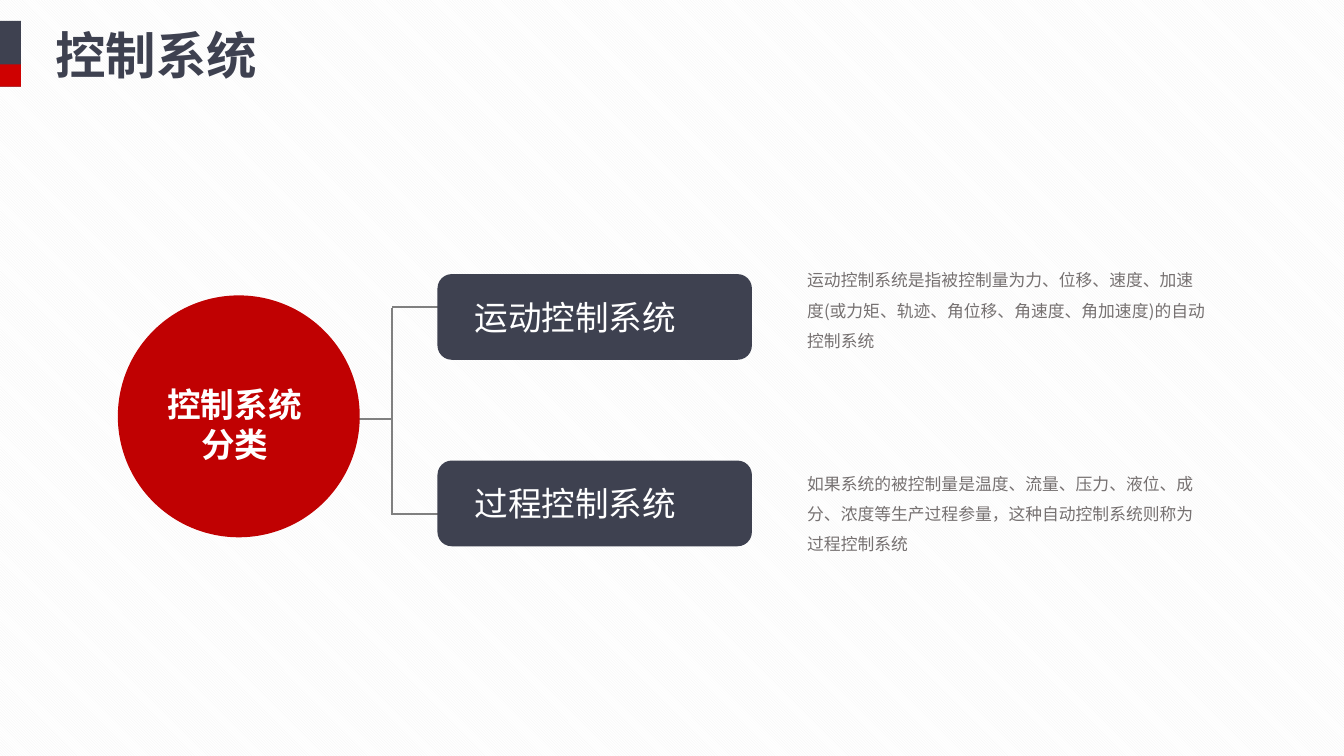
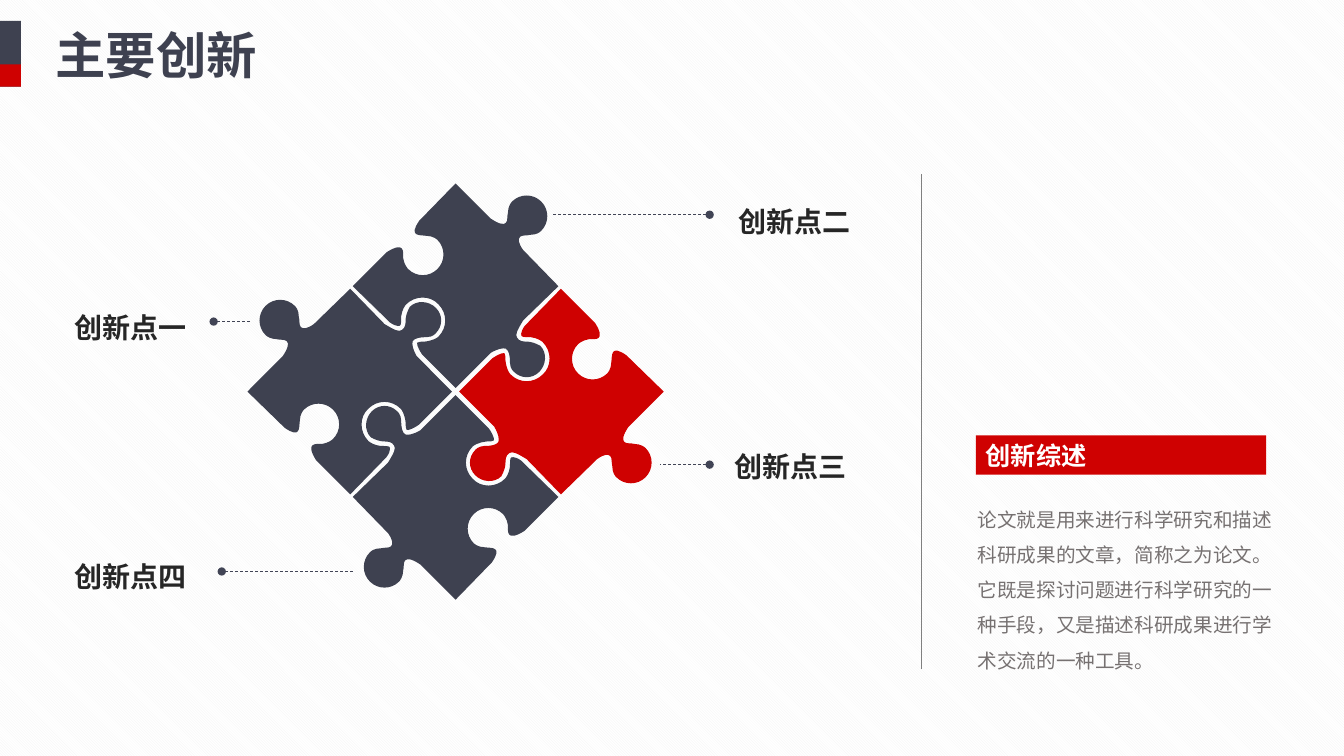
from dataclasses import dataclass

from lxml.etree import SubElement
from pptx import Presentation
from pptx.dml.color import RGBColor
from pptx.enum.dml import MSO_LINE, MSO_PATTERN
from pptx.enum.shapes import MSO_CONNECTOR, MSO_SHAPE as Preset
from pptx.enum.text import MSO_ANCHOR as Anchor, MSO_AUTO_SIZE, PP_ALIGN as Align
from pptx.oxml.ns import qn
from pptx.util import Pt


@dataclass(frozen=True)
class Theme:
    font: str = "Noto Sans CJK SC"
    navy: str = "3E4150"
    red: str = "CF0101"
    deep_red: str = "C00102"
    rule: str = "808080"
    leader: str = "414455"
    ink: str = "262626"
    prose: str = "767171"
    white: str = "FFFFFF"
    hatch: str = "F2F2F2"
    title: int = 36
    node: int = 24
    label: int = 20
    heading: int = 18
    summary: int = 14
    detail: int = 12


THEME = Theme()

HUB = (325.44, 279.72)
PIECE_UNIT = 0.72
PIECE_GAP = 3.5
PIECE_START = (85, -185)
PIECE_OUTLINE = [
    (93, -177, 93, -164, 85, -156),
    (84, -155, 81, -152, 74, -152),
    (71, -151, 66, -152, 64, -150),
    (62, -148, 62, -144, 67, -137),
    (102, -101),
    (67, -67),
    (61, -57, 59, -53, 61, -50),
    (63, -46, 68, -46, 72, -46),
    (80, -45, 83, -42, 84, -42),
    (91, -35, 90, -23, 83, -16),
    (76, -9, 65, -9, 58, -16),
    (58, -16, 54, -19, 54, -25),
    (54, -32, 53, -37, 50, -39),
    (47, -40, 42, -39, 35, -35),
    (0, 0),
    (-33, -33),
    (-39, -42, -38, -44, -38, -45),
    (-37, -46, -34, -46, -31, -46),
    (-22, -47, -18, -50, -17, -51),
    (-8, -60, -8, -74, -17, -83),
    (-25, -92, -40, -92, -49, -83),
    (-50, -82, -53, -78, -54, -71),
    (-54, -66, -54, -63, -55, -62),
    (-55, -62, -58, -60, -65, -65),
    (-102, -101),
    (-68, -135),
    (-50, -146, -52, -135, -52, -129),
    (-51, -122, -47, -118, -47, -118),
    (-39, -110, -26, -110, -18, -118),
    (-10, -126, -10, -139, -18, -147),
    (-18, -147, -22, -151, -29, -151),
    (-36, -152, -47, -150, -36, -166),
    (0, -203),
    (35, -168),
    (44, -162, 48, -162, 50, -164),
    (52, -166, 51, -171, 52, -174),
    (52, -180, 55, -184, 56, -185),
    (64, -193, 77, -193, 85, -185),
]


def rgb(color):
    return RGBColor.from_string(color)


def box_points(box):
    return [Pt(length) for length in box]


def write(frame, text, size, color, bold=False, align=Align.LEFT, spacing=None):
    paragraph = frame.paragraphs[0]
    paragraph.alignment = align
    if spacing:
        paragraph.line_spacing = spacing
    run = paragraph.add_run()
    run.text = text
    run.font.name = THEME.font
    run.font.size = Pt(size)
    run.font.bold = bold
    run.font.color.rgb = rgb(color)
    SubElement(run.font._element, qn("a:ea")).set("typeface", THEME.font)


def paint(shape, color):
    shape.shadow.inherit = False
    shape.fill.solid()
    shape.fill.fore_color.rgb = rgb(color)
    shape.line.fill.background()


def add_block(slide, preset, box, color, margins=(7.2, 3.6, 7.2, 3.6)):
    block = slide.shapes.add_shape(preset, *box_points(box))
    paint(block, color)
    frame = block.text_frame
    frame.word_wrap = True
    frame.vertical_anchor = Anchor.MIDDLE
    (frame.margin_left, frame.margin_top,
     frame.margin_right, frame.margin_bottom) = box_points(margins)
    return frame


def add_text(slide, box, text, size, color, bold=False, spacing=None):
    frame = slide.shapes.add_textbox(*box_points(box)).text_frame
    frame.word_wrap = True
    write(frame, text, size, color, bold, spacing=spacing)


def add_line(slide, start, end, color, width):
    connector = slide.shapes.add_connector(
        MSO_CONNECTOR.STRAIGHT, *box_points(start + end))
    connector.line.color.rgb = rgb(color)
    connector.line.width = Pt(width)
    SubElement(connector._element.spPr, qn("a:effectLst"))
    return connector


def add_leader(slide, start, end):
    line = add_line(slide, start, end, THEME.leader, 0.5).line
    line.dash_style = MSO_LINE.DASH
    SubElement(line._get_or_add_ln(), qn("a:headEnd")).set("type", "oval")


def bend_curves(piece):
    edges = iter(list(piece._element.iter(qn("a:lnTo"))))
    for segment in PIECE_OUTLINE:
        edge = next(edges)
        if len(segment) == 2:
            continue
        edge.tag = qn("a:cubicBezTo")
        for _ in range(2):
            following = next(edges)
            edge.append(following[0])
            following.getparent().remove(following)


def add_piece(slide, quarter_turns, color):
    corners = []
    for segment in [PIECE_START, *PIECE_OUTLINE]:
        for x, y in zip(segment[::2], segment[1::2]):
            y -= PIECE_GAP
            for _ in range(quarter_turns):
                x, y = -y, x
            corners.append((Pt(HUB[0] + x * PIECE_UNIT), Pt(HUB[1] + y * PIECE_UNIT)))
    outline = slide.shapes.build_freeform(*corners[0])
    outline.add_line_segments(corners[1:], close=True)
    piece = outline.convert_to_shape()
    bend_curves(piece)
    paint(piece, color)


def style_master(deck):
    backdrop = deck.slide_master.background.fill
    backdrop.patterned()
    backdrop.pattern = MSO_PATTERN.LIGHT_DOWNWARD_DIAGONAL
    backdrop.fore_color.rgb = rgb(THEME.hatch)
    backdrop.back_color.rgb = rgb(THEME.white)


def add_slide(deck, heading):
    slide = deck.slides.add_slide(deck.slide_layouts[5])
    add_block(slide, Preset.RECTANGLE, (0, 15, 15, 47), THEME.navy)
    add_block(slide, Preset.RECTANGLE, (0, 46, 15, 16), THEME.red)
    title = slide.shapes.title
    title.left, title.top, title.width, title.height = box_points((32.4, 13.7, 160, 51))
    frame = title.text_frame
    frame.auto_size = MSO_AUTO_SIZE.NONE
    frame.word_wrap = False
    frame.vertical_anchor = Anchor.TOP
    write(frame, heading, THEME.title, THEME.navy, bold=True)
    return slide


def build_control_systems(deck):
    slide = add_slide(deck, "控制系统")
    trunk_x, branch_end = 280, 397
    for start, end in [
        ((trunk_x, 220), (trunk_x, 368)),
        ((branch_end, 219), (trunk_x, 219)),
        ((trunk_x, 299), (235, 299)),
        ((branch_end, 367), (trunk_x, 367)),
    ]:
        add_line(slide, start, end, THEME.rule, 1.5)

    for name, name_top, detail, detail_top in [
        ("运动控制系统", 195.8,
         "运动控制系统是指被控制量为力、位移、速度、加速度(或力矩、轨迹、角位移、角速度、角加速度)的自动控制系统",
         182.2),
        ("过程控制系统", 329,
         "如果系统的被控制量是温度、流量、压力、液位、成分、浓度等生产过程参量，这种自动控制系统则称为过程控制系统",
         327.6),
    ]:
        branch = add_block(slide, Preset.ROUNDED_RECTANGLE,
                           (312.5, name_top, 224.6, 61.2), THEME.navy,
                           (23.5, 3.6, 7.2, 3.6))
        write(branch, name, THEME.node, THEME.white)
        add_text(slide, (569.5, detail_top, 301.7, 72), detail,
                 THEME.detail, THEME.prose, spacing=1.5)

    root = add_block(slide, Preset.OVAL, (84.2, 211, 172.8, 172.8),
                     THEME.deep_red, (9, 11, 15, 0))
    write(root, "控制系统分类", THEME.node, THEME.white, bold=True, align=Align.CENTER)


def build_innovations(deck):
    slide = add_slide(deck, "主要创新")
    add_line(slide, (658, 478), (658, 124.6), THEME.rule, 0.25)
    for turns, color in enumerate([THEME.navy, THEME.red, THEME.navy, THEME.navy]):
        add_piece(slide, turns, color)

    for name, left, top, dot_x, tip_x, leader_y in [
        ("创新点一", 46.1, 208.8, 152.6, 178.6, 229.7),
        ("创新点二", 520.6, 133.2, 506.9, 394.6, 153.4),
        ("创新点三", 517.7, 308.2, 506.9, 471.6, 331.9),
        ("创新点四", 46.1, 386.6, 158.4, 252, 408.2),
    ]:
        add_leader(slide, (dot_x, leader_y), (tip_x, leader_y))
        add_text(slide, (left, top, 106.6, 31), name,
                 THEME.label, THEME.ink, bold=True, spacing=1.4)

    add_text(slide, (691.2, 350.6, 226.1, 134.6),
             "论文就是用来进行科学研究和描述科研成果的文章，简称之为论文。"
             "它既是探讨问题进行科学研究的一种手段，又是描述科研成果进行学术交流的一种工具。",
             THEME.summary, THEME.prose, spacing=1.5)
    summary_band = add_block(slide, Preset.RECTANGLE, (697, 311, 207.4, 28.1), THEME.red)
    write(summary_band, "创新综述", THEME.heading, THEME.white, bold=True)


def main():
    deck = Presentation()
    deck.slide_width, deck.slide_height = Pt(960), Pt(540)
    style_master(deck)
    build_control_systems(deck)
    build_innovations(deck)
    deck.save("out.pptx")


if __name__ == "__main__":
    main()
